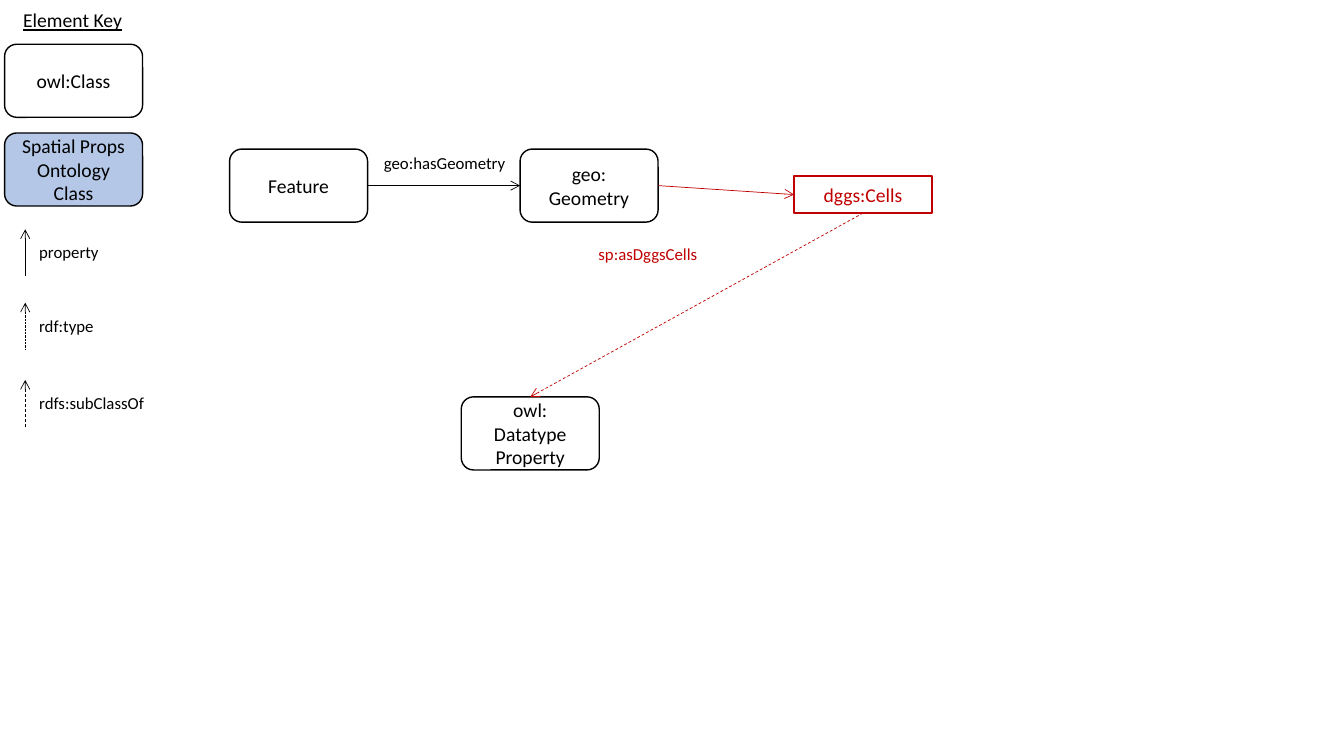
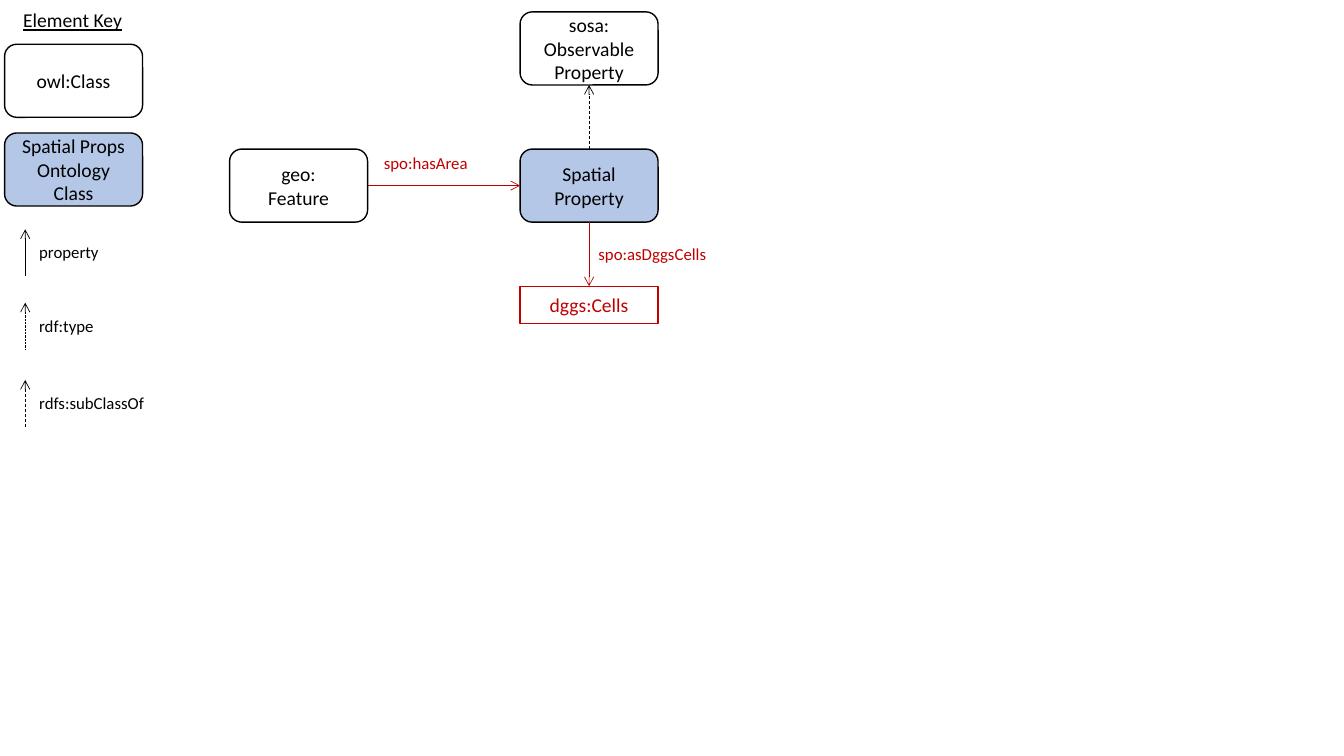
from lxml import etree
from pptx import Presentation
from pptx.dml.color import RGBColor
from pptx.enum import dml, shapes, text
from pptx.oxml import ns
from pptx.util import Pt

BLACK = RGBColor(0x00, 0x00, 0x00)
WHITE = RGBColor(0xFF, 0xFF, 0xFF)
RED = RGBColor(0xC0, 0x00, 0x00)
BLUE = RGBColor(0xB4, 0xC7, 0xE7)
FONT = "Calibri"
ROUND = shapes.MSO_SHAPE.ROUNDED_RECTANGLE
RECT = shapes.MSO_SHAPE.RECTANGLE
DASH = dml.MSO_LINE.DASH
DOT = dml.MSO_LINE.ROUND_DOT

# Shared grid
BOX_W, BOX_H, CELLS_H = 98.6, 52.2, 26.4
KEY_X, FEATURE_X, CENTRE_X = 3.3, 164, 371.5
ROW_Y = 106.5
ROW_MID = ROW_Y + BOX_H / 2
FEATURE_RIGHT = FEATURE_X + BOX_W
CENTRE_MID, CENTRE_RIGHT = CENTRE_X + BOX_W / 2, CENTRE_X + BOX_W

prs = Presentation()
prs.slide_width, prs.slide_height = Pt(960), Pt(540)


def add_box(slide, outline, x, y, words, fill=WHITE, colour=BLACK):
    height = BOX_H if outline == ROUND else CELLS_H
    box = slide.shapes.add_shape(outline, Pt(x), Pt(y), Pt(BOX_W), Pt(height))
    box.shadow.inherit = False
    box.fill.solid()
    box.fill.fore_color.rgb = fill
    box.line.color.rgb = colour
    box.line.width = Pt(1)
    box.text_frame.vertical_anchor = text.MSO_ANCHOR.MIDDLE
    para = box.text_frame.paragraphs[0]
    para.text = words
    para.alignment = text.PP_ALIGN.CENTER
    para.font.name, para.font.size = FONT, Pt(14)
    para.font.color.rgb = colour


def add_arrow(slide, x1, y1, x2, y2, colour=BLACK, dash=None):
    arrow = slide.shapes.add_connector(
        shapes.MSO_CONNECTOR.STRAIGHT, Pt(x1), Pt(y1), Pt(x2), Pt(y2))
    arrow.line.color.rgb = colour
    arrow.line.width = Pt(0.5)
    if dash:
        arrow.line.dash_style = dash
    etree.SubElement(arrow.line._get_or_add_ln(), ns.qn("a:tailEnd"), type="arrow")
    etree.SubElement(arrow._element.spPr, ns.qn("a:effectLst"))


# Content: boxes, arrows and property labels of each slide
geometry = dict(
    boxes=[
        (ROUND, FEATURE_X, ROW_Y, "Feature"),
        (RECT, 567.2, 125.8, "dggs:Cells", WHITE, RED),
        (ROUND, CENTRE_X, ROW_Y, "geo:\nGeometry"),
        (ROUND, 329.5, 283.5, "owl:\nDatatype\nProperty"),
    ],
    arrows=[
        (FEATURE_RIGHT, ROW_MID, CENTRE_X, ROW_MID),
        (CENTRE_RIGHT, ROW_MID, 567.2, 139),
        (616.5, 152.2, 378.8, 283.5, RED, DASH),
    ],
    labels=[("geo:hasGeometry", BLACK, 90.5), ("sp:asDggsCells", RED, 71.5)],
)
geometry["arrows"][1] += (RED,)
spatial = dict(
    boxes=[
        (ROUND, FEATURE_X, ROW_Y, "geo:\nFeature"),
        (RECT, CENTRE_X, 204.5, "dggs:Cells", WHITE, RED),
        (ROUND, CENTRE_X, ROW_Y, "Spatial\nProperty", BLUE),
        (ROUND, CENTRE_X, 8.5, "sosa:\nObservable\nProperty"),
    ],
    arrows=[
        (FEATURE_RIGHT, ROW_MID, CENTRE_X, ROW_MID, RED),
        (CENTRE_MID, ROW_Y + BOX_H, CENTRE_MID, 204.5, RED),
        (CENTRE_MID, ROW_Y, CENTRE_MID, 8.5 + BOX_H, BLACK, DASH),
    ],
    labels=[("spo:hasArea", RED, 60.5), ("spo:asDggsCells", RED, 77.5)],
)
label_places = [(274.2, 109), (427.5, 174)]
key_boxes = [
    (ROUND, KEY_X, 31.6, "owl:Class"),
    (ROUND, KEY_X, 95, "Spatial Props Ontology Class", BLUE),
]
key_arrows = [
    ("property", 163.8, 57.6, None),
    ("rdf:type", 216.2, 53.3, DOT),
    ("rdfs:subClassOf", 271.4, 90, DASH),
]

for content in (geometry, spatial):
    slide = prs.slides.add_slide(prs.slide_layouts[6])

    # Diagram and element key
    for box in content["boxes"] + key_boxes:
        add_box(slide, *box)
    for arrow in content["arrows"]:
        add_arrow(slide, *arrow)
    for _, top, _, dash in key_arrows:
        add_arrow(slide, 18, top + 33.5, 18, top, BLACK, dash)

    # Captions: words, left, top, width, height, size, colour, inset
    captions = [("Element Key", 9.4, 2.2, 85.7, 24.2, 14, BLACK, True)]
    captions += [(words, 20.9, top + 5.6, width, 21.8, 12, BLACK, True)
                 for words, top, width, _ in key_arrows]
    captions += [(words, x, y, width, 14.5, 12, colour, False)
                 for (words, colour, width), (x, y)
                 in zip(content["labels"], label_places)]
    for words, x, y, width, height, size, colour, inset in captions:
        caption = slide.shapes.add_textbox(Pt(x), Pt(y), Pt(width), Pt(height))
        frame = caption.text_frame
        frame.word_wrap = inset
        if not inset:
            frame.margin_left = frame.margin_right = 0
            frame.margin_top = frame.margin_bottom = 0
            caption.fill.solid()
            caption.fill.fore_color.rgb = WHITE
        para = frame.paragraphs[0]
        para.text = words
        para.font.name, para.font.size = FONT, Pt(size)
        para.font.color.rgb = colour
        para.font.underline = words == "Element Key"

prs.save("out.pptx")
